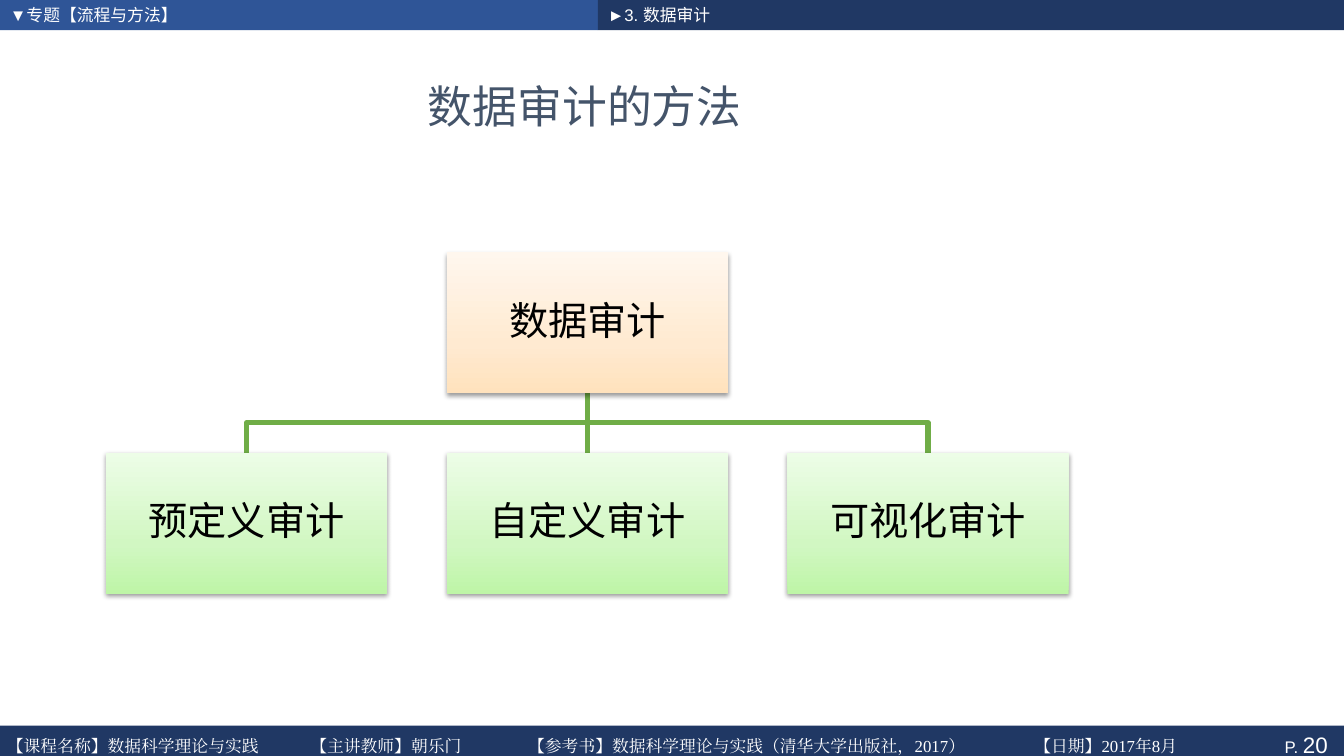
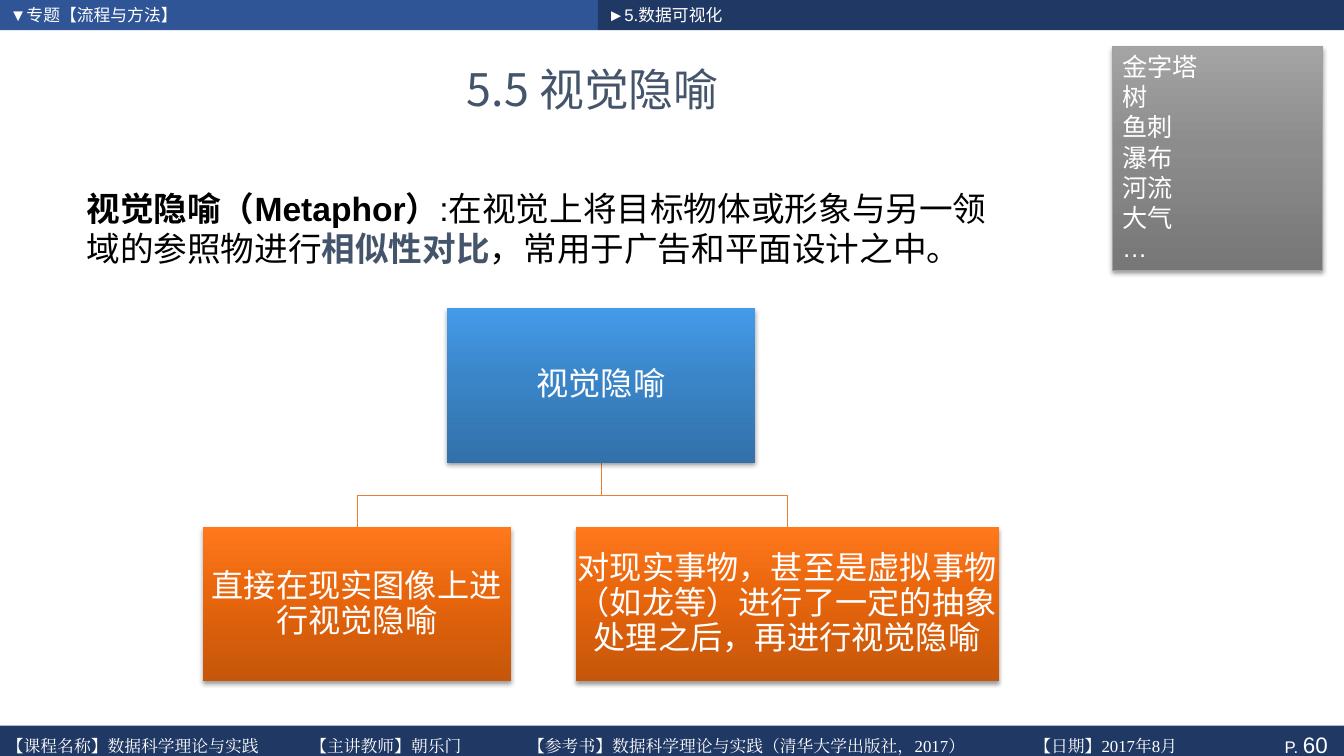
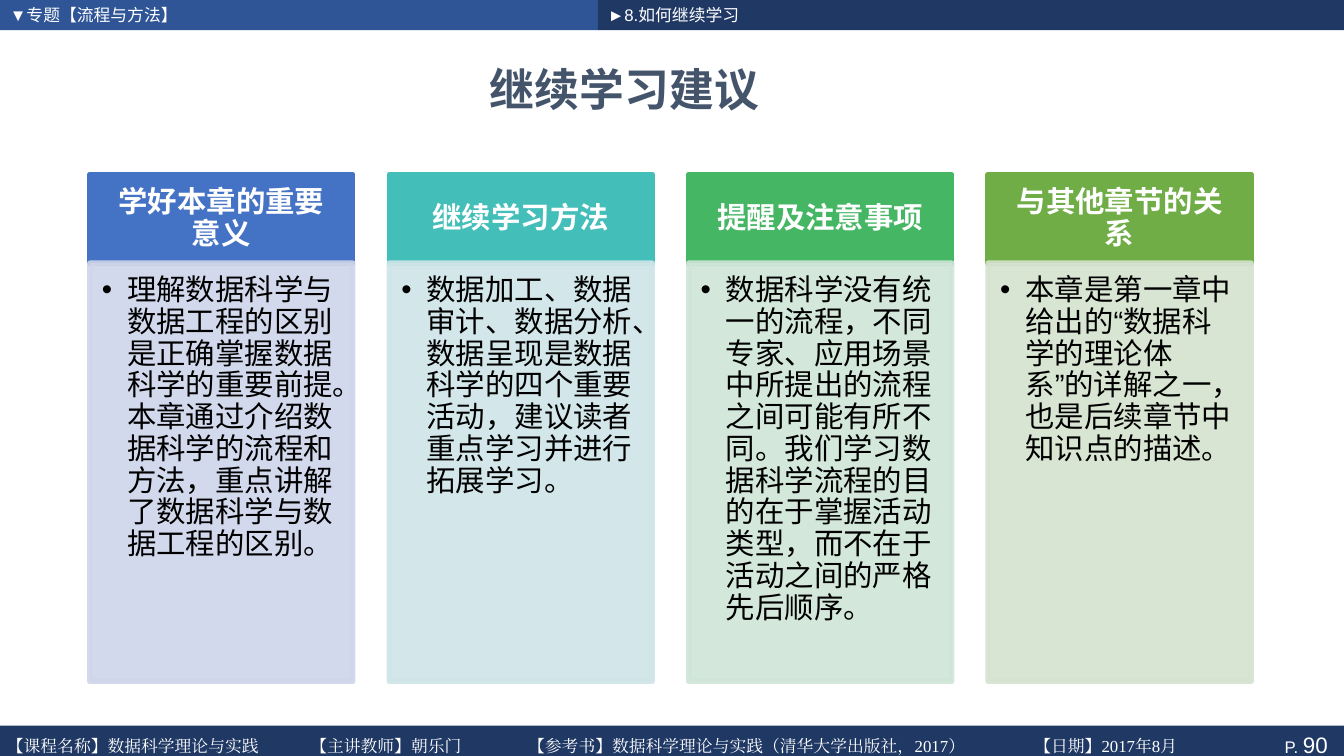
from dataclasses import dataclass

from lxml import etree
from pptx import Presentation
from pptx.dml.color import RGBColor
from pptx.enum.lang import MSO_LANGUAGE_ID
from pptx.enum.shapes import MSO_CONNECTOR, MSO_SHAPE
from pptx.enum.text import MSO_ANCHOR, PP_ALIGN
from pptx.oxml.ns import qn
from pptx.util import Inches, Pt

RECTANGLE = MSO_SHAPE.RECTANGLE
STRAIGHT = MSO_CONNECTOR.STRAIGHT
TOP, MIDDLE = MSO_ANCHOR.TOP, MSO_ANCHOR.MIDDLE
LEFT, CENTER, RIGHT = PP_ALIGN.LEFT, PP_ALIGN.CENTER, PP_ALIGN.RIGHT
CHINESE = MSO_LANGUAGE_ID.SIMPLIFIED_CHINESE


@dataclass(frozen=True)
class Theme:
    body_font: str = "Arial"
    title_font: str = "Noto Sans CJK SC"
    footer_font: str = "Times New Roman"
    white: str = "FFFFFF"
    black: str = "000000"
    slate: str = "44546A"
    band: str = "2F5597"
    band_dark: str = "203864"
    small: float = 12
    page_number: float = 16
    panel: float = 18
    card: float = 21
    node: float = 23
    lead: float = 24
    node_large: float = 28
    title: float = 32
    # Gradient stops as (percent, colour), running from bottom to top
    peach: tuple = ((0, "FFE2BD"), (35, "FFEAD1"), (100, "FFF7EE"))
    mint: tuple = ((0, "BEF5A7"), (35, "D1F7C2"), (100, "EDFDE7"))
    blue: tuple = ((0, "3271AA"), (55, "3A85C8"), (100, "449BEA"))
    orange: tuple = ((0, "C5560A"), (55, "E7650C"), (100, "FF781C"))
    grey: tuple = ((0, "777777"), (55, "8C8C8C"), (100, "A4A4A4"))
    grey_line: str = "A1A1A1"
    green_line: str = "70AD47"
    orange_line: str = "ED7D31"


THEME = Theme()
PAGE_WIDTH, PAGE_HEIGHT = 13.33, 7.5
TOPIC = "▼专题【流程与方法】"
FOOTER = (
    "【课程名称】数据科学理论与实践",
    "【主讲教师】朝乐门",
    "【参考书】数据科学理论与实践（清华大学出版社，2017）",
    "【日期】2017年8月",
)
FOOTER_TABS = (3.01, 5.17, 10.19)


# ---- Text ----

def add_run(para, text, size, color, bold=False, font=THEME.body_font):
    span = para.add_run()
    span.text = text
    span.font.size = Pt(size)
    span.font.bold = bold
    span.font.color.rgb = RGBColor.from_string(color)
    span.font.language_id = CHINESE
    span.font.name = font
    etree.SubElement(span.font._element, qn("a:ea"), typeface=font)


def set_frame(shape, anchor=TOP, insets=(0.1, 0.05, 0.1, 0.05)):
    frame = shape.text_frame
    frame.word_wrap = True
    frame.vertical_anchor = anchor
    (frame.margin_left, frame.margin_top,
     frame.margin_right, frame.margin_bottom) = map(Inches, insets)
    return frame


def first_para(shape, align=LEFT, spacing=None, **frame_options):
    para = set_frame(shape, **frame_options).paragraphs[0]
    para.alignment = align
    if spacing:
        para.line_spacing = spacing
    return para


def add_bullet(para, indent=0.25):
    props = para._p.get_or_add_pPr()
    props.set("marL", str(Inches(indent)))
    props.set("indent", str(-Inches(indent)))
    etree.SubElement(props, qn("a:buFont"), typeface="Arial")
    etree.SubElement(props, qn("a:buChar"), char="•")


def add_tabs(para, stops):
    tabs = etree.SubElement(para._p.get_or_add_pPr(), qn("a:tabLst"))
    for stop in stops:
        etree.SubElement(tabs, qn("a:tab"), pos=str(Inches(stop)), algn="l")


# ---- Shapes ----

def add_text_box(page, left, top, width, height):
    return page.shapes.add_textbox(*map(Inches, (left, top, width, height)))


def add_box(page, left, top, width, height, fill=None, line=None, weight=0.5):
    box = page.shapes.add_shape(
        RECTANGLE, *map(Inches, (left, top, width, height)))
    box.shadow.inherit = False
    if fill:
        box.fill.solid()
        box.fill.fore_color.rgb = RGBColor.from_string(fill)
    if line:
        box.line.color.rgb = RGBColor.from_string(line)
        box.line.width = Pt(weight)
    else:
        box.line.fill.background()
    return box


def add_color(parent, color, alpha=100):
    node = etree.SubElement(parent, qn("a:srgbClr"), val=color)
    if alpha < 100:
        etree.SubElement(node, qn("a:alpha"), val=str(alpha * 1000))


def set_alpha(box, percent):
    for color in box._element.spPr.iter(qn("a:srgbClr")):
        etree.SubElement(color, qn("a:alpha"), val=str(percent * 1000))


def add_raised_box(page, left, top, width, height, stops, line=None):
    box = add_box(page, left, top, width, height, line=line)
    # Gradient
    box.fill.gradient()
    box.fill.gradient_angle = 90
    stop_list = box._element.spPr.find(".//" + qn("a:gsLst"))
    for old in list(stop_list):
        stop_list.remove(old)
    for percent, color in stops:
        stop = etree.SubElement(stop_list, qn("a:gs"), pos=str(percent * 1000))
        add_color(stop, color)
    # Soft shadow below
    effects = box._element.spPr.find(qn("a:effectLst"))
    shadow = etree.SubElement(
        effects, qn("a:outerShdw"), blurRad=str(Pt(3.2)), dist=str(Pt(2)),
        dir="5400000", rotWithShape="0")
    add_color(shadow, THEME.black, alpha=38)
    return box


def add_branch(page, start, end, color, weight):
    (x1, y1), (x2, y2) = start, end
    if abs(x1 - x2) < 0.01:
        branch = page.shapes.add_connector(
            STRAIGHT, *map(Inches, (x1, y1, x1, y2)))
        etree.SubElement(branch._element.spPr, qn("a:effectLst"))
    else:
        middle = (y1 + y2) / 2
        corners = ((x1, middle), (x2, middle), (x2, y2))
        builder = page.shapes.build_freeform(Inches(x1), Inches(y1))
        builder.add_line_segments(
            [(Inches(x), Inches(y)) for x, y in corners], close=False)
        branch = builder.convert_to_shape()
        branch.fill.background()
        branch.shadow.inherit = False
    branch.line.color.rgb = RGBColor.from_string(color)
    branch.line.width = Pt(weight)


# ---- Regions ----

def add_page(deck, section, number):
    page = deck.slides.add_slide(deck.slide_layouts[6])
    # Header bands
    split = 5.93
    for left, width, color, text in (
            (0, split, THEME.band, TOPIC),
            (split, PAGE_WIDTH - split, THEME.band_dark, section)):
        band = add_box(page, left, 0, width, 0.3, color)
        add_run(first_para(band), text, THEME.small, THEME.white)
    # Footer band with page number
    band = add_box(page, 0, 7.2, PAGE_WIDTH, 0.37, THEME.band_dark)
    para = first_para(band, RIGHT, insets=(0.1, 0.05, 0.16, 0.05))
    add_run(para, "P. ", THEME.small, THEME.white)
    add_run(para, str(number), THEME.page_number, THEME.white)
    # Course details
    para = first_para(add_text_box(page, -0.03, 7.25, 12.76, 0.28))
    add_tabs(para, FOOTER_TABS)
    add_run(para, "\t".join(FOOTER), THEME.small, THEME.white,
            font=THEME.footer_font)
    return page


def add_title(page, text, left, top, width, bold=False):
    box = add_text_box(page, left, top, width, 0.9)
    add_run(first_para(box, CENTER, anchor=MIDDLE), text, THEME.title,
            THEME.slate, bold, THEME.title_font)


def add_node(page, text, left, top, width, height, stops, size, color):
    node = add_raised_box(page, left, top, width, height, stops)
    para = first_para(node, CENTER, 0.9, anchor=MIDDLE, insets=(0.02,) * 4)
    add_run(para, text, size, color)


def add_tree(page, left, top, root, children, node_size, gap, root_fill,
             child_fill, size, color, line, weight):
    """Root centred over a row of children given as (text, width)."""
    root_width, height = node_size
    row_width = sum(width for _, width in children) + gap * (len(children) - 1)
    center = left + row_width / 2
    row_top = top + height + gap
    lefts = [left + sum(width for _, width in children[:i]) + gap * i
             for i in range(len(children))]
    for child_left, (_, width) in zip(lefts, children):
        add_branch(page, (center, top + height),
                   (child_left + width / 2, row_top), line, weight)
    add_node(page, root, center - root_width / 2, top, root_width, height,
             root_fill, size, color)
    for child_left, (text, width) in zip(lefts, children):
        add_node(page, text, child_left, row_top, width, height,
                 child_fill, size, color)


def add_card(page, left, top, width, heading, body, color, tint):
    head_height, body_height, weight = 0.88, 4.15, 3.78
    head = add_box(page, left, top, width, head_height, color, color, weight)
    para = first_para(head, CENTER, 0.9, anchor=MIDDLE,
                      insets=(0.16, 0.09, 0.16, 0.09))
    add_run(para, heading, THEME.card, THEME.white, bold=True)
    panel = add_box(page, left, top + head_height, width, body_height,
                    tint, tint, weight)
    set_alpha(panel, 90)
    para = first_para(panel, spacing=0.9, insets=(0.12, 0.12, 0.16, 0.18))
    add_bullet(para)
    add_run(para, body, THEME.card, THEME.black)


# ---- Slides ----

def build_audit_methods(deck):
    page = add_page(deck, "►3. 数据审计", 20)
    add_title(page, "数据审计的方法", 1.39, 0.6, 8.82)
    children = [(text, 2.79) for text in
                ("预定义审计", "自定义审计", "可视化审计")]
    add_tree(page, 1.05, 2.5, "数据审计", children, (2.79, 1.4), 0.59,
             THEME.peach, THEME.mint, THEME.node_large, THEME.black,
             THEME.green_line, 3.78)


def build_metaphor(deck):
    page = add_page(deck, "►5.数据可视化", 60)
    add_title(page, "5.5 视觉隐喻", 0.44, 0.43, 10.88)
    children = [
        ("直接在现实图像上进行视觉隐喻", 3.06),
        ("对现实事物，甚至是虚拟事物（如龙等）进行了一定的抽象处理之后，"
         "再进行视觉隐喻", 4.2),
    ]
    add_tree(page, 2.01, 3.06, "视觉隐喻", children, (3.06, 1.53), 0.64,
             THEME.blue, THEME.orange, THEME.node, THEME.white,
             THEME.orange_line, 0.5)
    # Definition
    para = first_para(add_text_box(page, 0.76, 1.81, 9.37, 1.25))
    for text, color, bold in (
            ("视觉隐喻（Metaphor）", THEME.black, True),
            (":在视觉上将目标物体或形象与另一领域的参照物进行",
             THEME.black, False),
            ("相似性对比", THEME.slate, True),
            ("，常用于广告和平面设计之中。", THEME.black, False)):
        add_run(para, text, THEME.lead, color, bold)
    # Examples panel
    panel = add_raised_box(page, 11.03, 0.46, 2.09, 2.22, THEME.grey,
                           THEME.grey_line)
    frame = set_frame(panel)
    examples = ("金字塔", "树", "鱼刺", "瀑布", "河流", "大气", "…")
    for i, text in enumerate(examples):
        para = frame.add_paragraph() if i else frame.paragraphs[0]
        para.alignment = LEFT
        add_run(para, text, THEME.panel, THEME.white)


def build_next_steps(deck):
    page = add_page(deck, "►8.如何继续学习", 90)
    add_title(page, "继续学习建议", 0.48, 0.43, 11.43, bold=True)
    cards = (
        ("学好本章的重要意义",
         "理解数据科学与数据工程的区别是正确掌握数据科学的重要前提。"
         "本章通过介绍数据科学的流程和方法，重点讲解了数据科学与数据工程的区别。",
         "4472C4", "CFD5EA"),
        ("继续学习方法",
         "数据加工、数据审计、数据分析、数据呈现是数据科学的四个重要活动，"
         "建议读者重点学习并进行拓展学习。",
         "43BEB9", "CFE5E8"),
        ("提醒及注意事项",
         "数据科学没有统一的流程，不同专家、应用场景中所提出的流程之间可能有所不同。"
         "我们学习数据科学流程的目的在于掌握活动类型，而不在于活动之间的严格先后顺序。",
         "45B664", "CFE5D8"),
        ("与其他章节的关系",
         "本章是第一章中给出的“数据科学的理论体系”的详解之一，"
         "也是后续章节中知识点的描述。",
         "70AD47", "D5E3CF"),
    )
    width, gap = 2.61, 0.36
    for i, card in enumerate(cards):
        add_card(page, 0.89 + i * (width + gap), 1.73, width, *card)


def main():
    deck = Presentation()
    deck.slide_width = Inches(PAGE_WIDTH)
    deck.slide_height = Inches(PAGE_HEIGHT)
    build_audit_methods(deck)
    build_metaphor(deck)
    build_next_steps(deck)
    deck.save("out.pptx")


if __name__ == "__main__":
    main()
